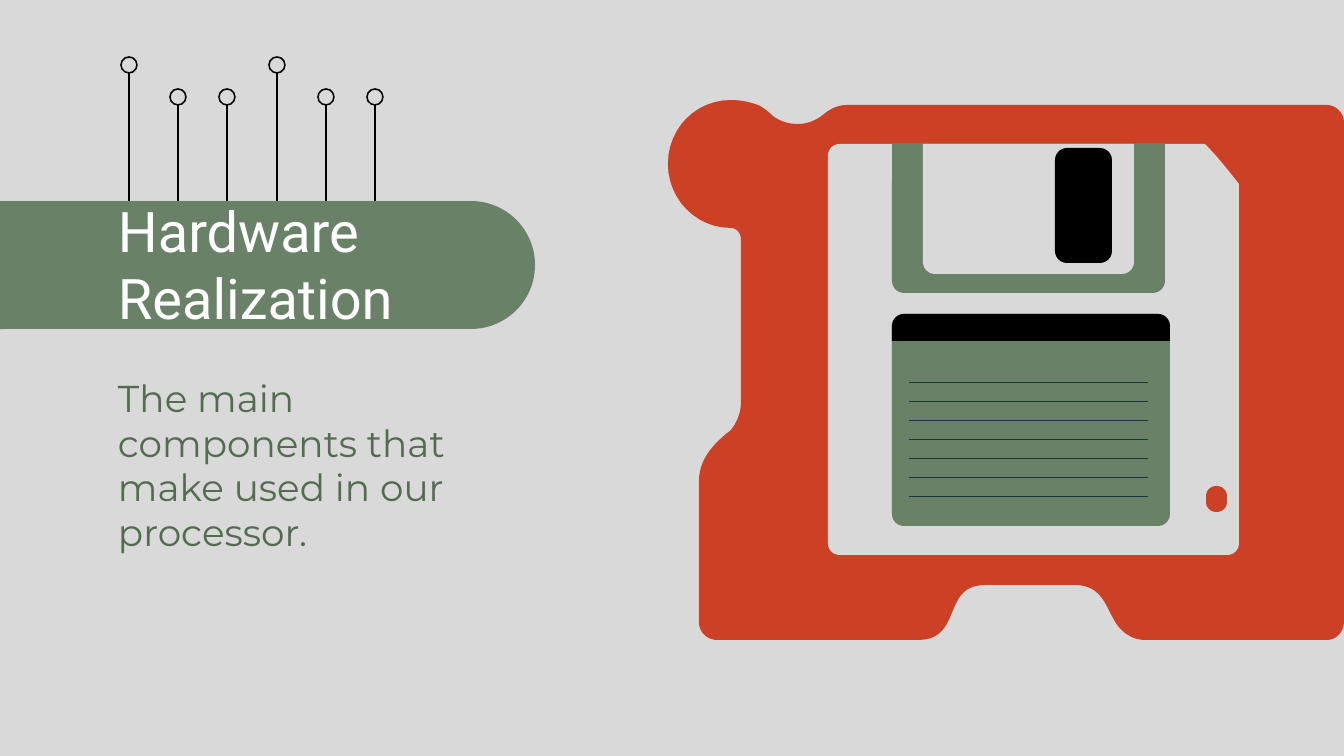
from dataclasses import dataclass

from lxml import etree
from pptx import Presentation
from pptx.dml.color import RGBColor
from pptx.enum.shapes import MSO_CONNECTOR, MSO_SHAPE
from pptx.enum.text import MSO_ANCHOR, MSO_AUTO_SIZE, PP_ALIGN
from pptx.oxml.ns import qn
from pptx.util import Emu, Pt

EMU_PER_PX = 9144000 / 1344
OVAL = MSO_SHAPE.OVAL
ROUNDED = MSO_SHAPE.ROUNDED_RECTANGLE
ROUND_PAIR = MSO_SHAPE.ROUND_2_SAME_RECTANGLE
STRAIGHT = MSO_CONNECTOR.STRAIGHT
LEFT = PP_ALIGN.LEFT
MIDDLE = MSO_ANCHOR.MIDDLE
NO_AUTOFIT = MSO_AUTO_SIZE.NONE
TITLE_ONLY = 5


@dataclass(frozen=True)
class Theme:
    ground: str = "D9D9D9"
    green: str = "698267"
    red: str = "CC4125"
    black: str = "000000"
    white: str = "FFFFFF"
    rule: str = "193540"
    body_text: str = "536C50"
    title_font: str = "Roboto"
    body_font: str = "Montserrat"
    title_size: int = 30
    body_size: int = 20
    pin_width: float = 0.82
    rule_width: float = 0.37


THEME = Theme()

# Two numbers are a straight step to a point, six are a cubic curve.
CASE_OUTLINE = [
    (731, 100),
    (696, 100, 668, 128, 668, 164), (668, 199, 696, 228, 731, 228),
    (737, 228, 741, 234, 741, 239), (741, 402),
    (741, 413, 737, 423, 730, 431), (726, 434),
    (712, 446, 699, 460, 699, 482), (699, 622),
    (699, 632, 707, 640, 717, 640), (917, 640),
    (930, 640, 941, 637, 949, 620), (957, 602, 960, 585, 986, 585),
    (1075, 585), (1101, 585, 1106, 606, 1113, 618),
    (1120, 632, 1132, 640, 1145, 640), (1327, 640),
    (1336, 640, 1344, 632, 1344, 622), (1344, 122),
    (1344, 113, 1336, 105, 1327, 105), (847, 105),
    (838, 105, 830, 109, 824, 114), (817, 120, 808, 124, 798, 124),
    (788, 124, 780, 121, 773, 116), (769, 112, 763, 107, 758, 105),
    (750, 102, 740, 100, 731, 100),
]
WINDOW_OUTLINE = [
    (840, 144), (833, 144, 828, 149, 828, 156), (828, 543),
    (828, 550, 833, 555, 840, 555), (1227, 555),
    (1234, 555, 1239, 550, 1239, 543), (1239, 184),
    (1228, 170, 1217, 156, 1205, 144),
]


def px(n):
    return Emu(round(n * EMU_PER_PX))


def rgb(color):
    return RGBColor.from_string(color)


def paint(sp, fill=None, line=None, width=0):
    sp.shadow.inherit = False
    if fill:
        sp.fill.solid()
        sp.fill.fore_color.rgb = rgb(fill)
    else:
        sp.fill.background()
    if line:
        sp.line.color.rgb = rgb(line)
        sp.line.width = Pt(width)
    else:
        sp.line.fill.background()


def add_block(shapes, kind, box, fill=None, line=None, width=0, radii=()):
    """Add a preset shape; radii are corner radii in px."""
    sp = shapes.add_shape(kind, *map(px, box))
    for i, radius in enumerate(radii):
        sp.adjustments[i] = radius / min(box[2:])
    paint(sp, fill, line, width)
    return sp


def add_line(shapes, x1, y1, x2, y2, color, width):
    line = shapes.add_connector(STRAIGHT, px(x1), px(y1), px(x2), px(y2))
    line.line.color.rgb = rgb(color)
    line.line.width = Pt(width)
    etree.SubElement(line._element.spPr, qn("a:effectLst"))


def curve_points(start, curve, steps=12):
    """Sample a cubic curve, leaving out its start."""
    anchors = (start, curve[:2], curve[2:4], curve[4:])
    for i in range(1, steps + 1):
        t = i / steps
        weights = ((1 - t) ** 3, 3 * t * (1 - t) ** 2, 3 * t * t * (1 - t), t ** 3)
        yield tuple(sum(w * a[axis] for w, a in zip(weights, anchors)) for axis in (0, 1))


def add_outline(shapes, outline, fill):
    points = [outline[0]]
    for step in outline[1:]:
        points += [step] if len(step) == 2 else curve_points(points[-1], step)
    start, *rest = [(px(x), px(y)) for x, y in points]
    builder = shapes.build_freeform(*start)
    builder.add_line_segments(rest, close=True)
    paint(builder.convert_to_shape(), fill)


def write(sp, box, text, font, size, color):
    sp.left, sp.top, sp.width, sp.height = map(px, box)
    tf = sp.text_frame
    tf.word_wrap = True
    tf.auto_size = NO_AUTOFIT
    tf.vertical_anchor = MIDDLE
    tf.margin_left = tf.margin_right = tf.margin_top = tf.margin_bottom = px(13)
    p = tf.paragraphs[0]
    p.alignment = LEFT
    r = p.add_run()
    r.text = text
    r.font.name = font
    r.font.size = Pt(size)
    r.font.color.rgb = rgb(color)


def add_pins(shapes):
    """Draw six circuit pins, every third one taller."""
    for i in range(6):
        x = round(129 + 49.2 * i)
        top = 57 if i % 3 == 0 else 89
        add_line(shapes, x, top + 16, x, 201, THEME.black, THEME.pin_width)
        add_block(shapes, OVAL, (x - 8, top, 16, 16), line=THEME.black, width=THEME.pin_width)


def add_floppy(shapes):
    add_outline(shapes, CASE_OUTLINE, THEME.red)
    disk = shapes.add_group_shape().shapes
    add_outline(disk, WINDOW_OUTLINE, THEME.ground)
    add_block(disk, ROUND_PAIR, (892, 144, 273, 149), THEME.green, radii=(0, 12))
    add_block(disk, ROUND_PAIR, (923, 144, 211, 130), THEME.ground, radii=(0, 12))
    add_block(disk, ROUNDED, (1055, 148, 57, 115), THEME.black, radii=(12,))
    add_block(disk, ROUNDED, (1206, 486, 21, 26), THEME.red, radii=(10,))
    add_block(disk, ROUNDED, (892, 314, 278, 212), THEME.green, radii=(12,))
    add_block(disk, ROUND_PAIR, (892, 314, 278, 27), THEME.black, radii=(12, 0))
    for i in range(7):
        y = 382 + 19 * i
        add_line(disk, 909, y, 1148, y, THEME.rule, THEME.rule_width)


def main():
    prs = Presentation()
    prs.slide_width, prs.slide_height = px(1344), px(756)
    s = prs.slides.add_slide(prs.slide_layouts[TITLE_ONLY])
    s.background.fill.solid()
    s.background.fill.fore_color.rgb = rgb(THEME.ground)

    add_pins(s.shapes)
    banner = add_block(s.shapes, ROUND_PAIR, (188, -18, 128, 566), THEME.green, radii=(64, 0))
    banner.rotation = 90
    add_floppy(s.shapes)

    title = s.shapes.title
    s.shapes._spTree.append(title._element)  # in front of the banner
    write(title, (105, 208, 433, 112), "Hardware Realization",
          THEME.title_font, THEME.title_size, THEME.white)
    box = (105, 374, 433, 181)
    write(s.shapes.add_textbox(*map(px, box)), box,
          "The main components that make used in our processor.",
          THEME.body_font, THEME.body_size, THEME.body_text)
    prs.save("out.pptx")


if __name__ == "__main__":
    main()
